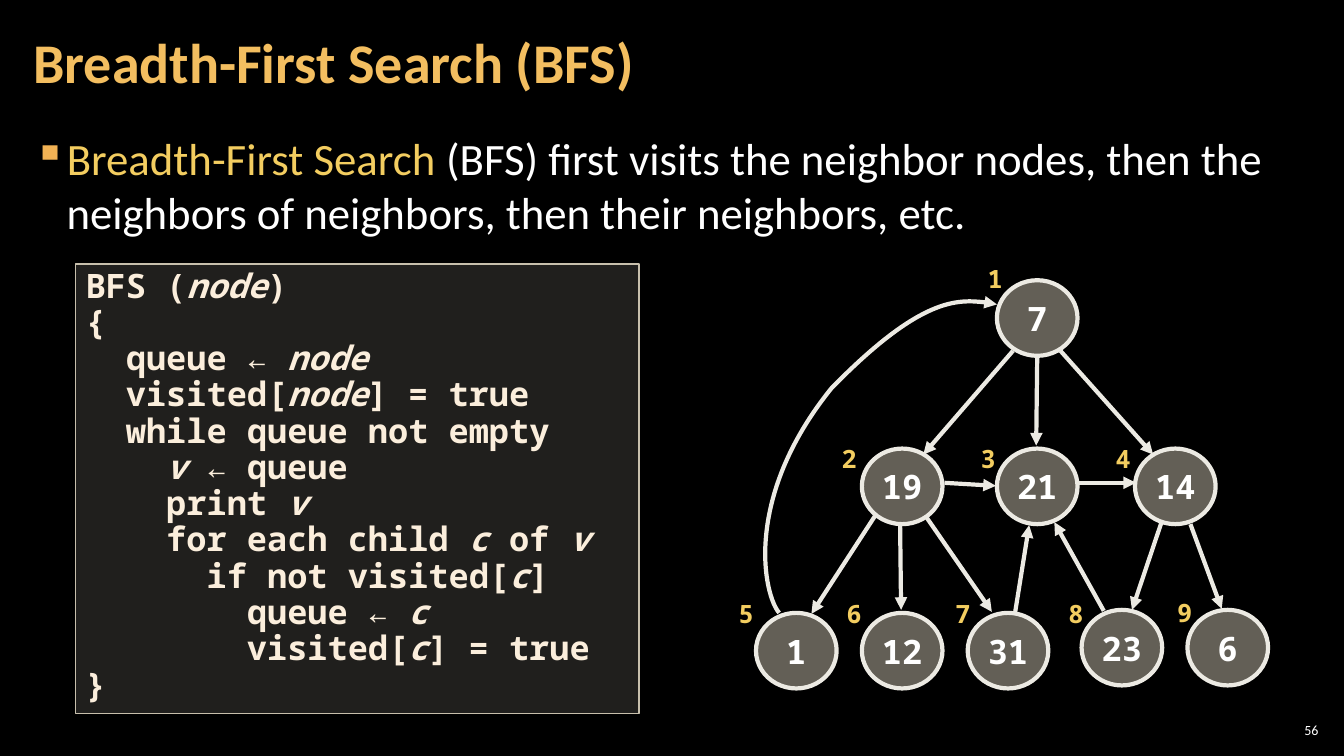
from typing import NamedTuple

import pptx
import pptx.dml.color
import pptx.enum.shapes
import pptx.enum.text
import pptx.oxml
import pptx.oxml.ns
import pptx.util
from lxml import etree

COLORS = {
    "background": "000000",
    "title": "F3BE60",
    "accent": "F3CD60",
    "bullet": "F2B254",
    "text": "FFFFFF",
    "code": "FBEEDC",
    "code fill": "D9D5C7",
    "node fill": "C7BFAC",
    "code border": "C7BFAC",
    "edge": "ECEAE3",
}
SANS, MONO = "Calibri", "Noto Sans Mono"
SLIDE_WIDTH, SLIDE_HEIGHT = pptx.util.Inches(13.33), pptx.util.Inches(7.5)
COLUMN, ROW = SLIDE_WIDTH / 40, SLIDE_HEIGHT / 30
NODE_SIZE = (2.4, 3)
ORDER_SIZE = (1.02, 1.68)
ALIGN = pptx.enum.text.PP_ALIGN
ANCHOR = pptx.enum.text.MSO_ANCHOR
FIT = pptx.enum.text.MSO_AUTO_SIZE
SHAPES = pptx.enum.shapes.MSO_SHAPE


class Box(NamedTuple):
    column: float
    row: float
    columns: float
    rows: float


class Node(NamedTuple):
    value: int
    column: float
    row: float
    order: int
    order_column: float
    order_row: float


class Edge(NamedTuple):
    start: tuple[float, float]
    end: tuple[float, float]


NODES = [
    Node(7, 29.67, 11.12, 1, 29.1, 10.24),
    Node(19, 25.65, 17.8, 2, 24.75, 17.4),
    Node(21, 29.67, 17.8, 3, 28.89, 17.4),
    Node(14, 33.78, 17.8, 4, 32.91, 17.4),
    Node(1, 22.5, 24.32, 5, 21.69, 23.56),
    Node(12, 25.65, 24.32, 6, 24.9, 23.56),
    Node(31, 28.8, 24.32, 7, 28.14, 23.56),
    Node(23, 32.19, 24.2, 8, 31.5, 23.56),
    Node(6, 35.34, 24.2, 9, 34.74, 23.52),
]
EDGES = [
    Edge((30.15, 13.92), (27.48, 18.04)),
    Edge((30.87, 14.12), (30.84, 17.68)),
    Edge((31.56, 13.92), (34.32, 18.04)),
    Edge((28.11, 19.16), (29.64, 19.28)),
    Edge((32.1, 19.16), (33.81, 19.16)),
    Edge((26.04, 20.48), (24.15, 24.36)),
    Edge((26.79, 20.88), (26.82, 24.2)),
    Edge((27.57, 20.52), (29.52, 24.28)),
    Edge((34.56, 20.76), (33.69, 24.2)),
    Edge((35.43, 20.8), (36.36, 24.16)),
    Edge((30.21, 24.32), (30.63, 20.84)),
    Edge((32.85, 24.24), (31.38, 20.72)),
]
BACK_EDGE = [
    (23.19, 24.32),
    (22.74, 23.64), (22.08, 19.8), (24.75, 15.4),
    (27.42, 11.76), (28.92, 11.84), (29.67, 12.08),
]
# Asterisks enclose the italic variables.
PSEUDOCODE = """\
BFS (*node*)
{
  queue ← *node*
  visited[*node*] = true
  while queue not empty
    *v *← queue
    print *v*
    for each child *c* of *v*
      if not visited[*c*]
        queue ← *c*
        visited[*c*] = true
}"""


def rgb(name: str) -> pptx.dml.color.RGBColor:
    return pptx.dml.color.RGBColor.from_string(COLORS[name])


def point(column: float, row: float) -> tuple[int, int]:
    return round(column * COLUMN), round(row * ROW)


def place(box: Box) -> tuple[int, int, int, int]:
    return point(box.column, box.row) + point(box.columns, box.rows)


def add_child(parent, tag: str, **attributes: str):
    return etree.SubElement(parent, pptx.oxml.ns.qn(tag), attributes)


def style(paragraph, size: float, face: str, color: str, bold: bool = False) -> None:
    font = paragraph.font
    font.size, font.name, font.bold = pptx.util.Pt(size), face, bold
    font.color.rgb = rgb(color)


def set_insets(frame, across: float, down: float) -> None:
    frame.margin_left = frame.margin_right = pptx.util.Inches(across)
    frame.margin_top = frame.margin_bottom = pptx.util.Inches(down)


def add_panel(slide, kind, box: Box, fill: str, opacity: int, border: str, width: float):
    """Add a shape with a see-through fill and a solid border."""
    panel = slide.shapes.add_shape(kind, *place(box))
    panel.shadow.inherit = False
    panel.fill.solid()
    panel.fill.fore_color.rgb = rgb(fill)
    tint = panel.fill._xPr.find(".//" + pptx.oxml.ns.qn("a:srgbClr"))
    add_child(tint, "a:alpha", val=str(opacity * 1000))
    panel.line.color.rgb = rgb(border)
    panel.line.width = pptx.util.Pt(width)
    return panel


def add_title(slide) -> None:
    title = slide.shapes.title
    title.left, title.top, title.width, title.height = place(Box(0.63, 0.16, 31.41, 4.84))
    frame = title.text_frame
    frame.text = "Breadth-First Search (BFS)"
    frame.auto_size, frame.vertical_anchor = FIT.NONE, ANCHOR.MIDDLE
    set_insets(frame, 0.12, 0.04)
    heading = frame.paragraphs[0]
    heading.alignment, heading.line_spacing = ALIGN.LEFT, 0.9
    style(heading, 40, SANS, "title", bold=True)


def add_definition(slide) -> None:
    frame = slide.shapes.add_textbox(*place(Box(0.63, 5.04, 38.73, 24.36))).text_frame
    frame.word_wrap = True
    set_insets(frame, 0.12, 0.04)
    definition = frame.paragraphs[0]
    properties = definition._p.get_or_add_pPr()
    indent = pptx.util.Inches(0.33)
    properties.set("marL", str(indent))
    properties.set("indent", str(-indent))
    add_child(add_child(properties, "a:buClr"), "a:srgbClr", val=COLORS["bullet"])
    add_child(properties, "a:buChar", char="▪")
    style(definition, 32, SANS, "text")
    term = definition.add_run()
    term.text = "Breadth-First Search "
    term.font.color.rgb = rgb("accent")
    definition.add_run().text = (
        "(BFS) first visits the neighbor nodes, then the neighbors of neighbors, "
        "then their neighbors, etc."
    )


def add_pseudocode(slide) -> None:
    listing = add_panel(slide, SHAPES.RECTANGLE, Box(2.25, 10.48, 16.77, 17.84),
                        "code fill", 15, "code border", 1)
    frame = listing.text_frame
    frame.word_wrap, frame.vertical_anchor = True, ANCHOR.TOP
    frame.auto_size = FIT.SHAPE_TO_FIT_TEXT
    for number, line in enumerate(PSEUDOCODE.splitlines()):
        paragraph = frame.add_paragraph() if number else frame.paragraphs[0]
        paragraph.alignment, paragraph.line_spacing = ALIGN.LEFT, 0.9
        style(paragraph, 24, MONO, "code", bold=True)
        for index, part in enumerate(line.split("*")):
            if part:
                run = paragraph.add_run()
                run.text = part
                run.font.italic = index % 2 == 1


def add_label(slide, box: Box, text: str, size: float, face: str, color: str, bold: bool):
    frame = slide.shapes.add_textbox(*place(box)).text_frame
    frame.text = text
    style(frame.paragraphs[0], size, face, color, bold)
    return frame


def add_node(slide, node: Node) -> None:
    circle = add_panel(slide, SHAPES.OVAL, Box(node.column, node.row, *NODE_SIZE),
                       "node fill", 50, "edge", 3)
    frame = circle.text_frame
    frame.text = str(node.value)
    frame.word_wrap, frame.vertical_anchor = False, ANCHOR.MIDDLE
    frame.paragraphs[0].alignment = ALIGN.CENTER
    style(frame.paragraphs[0], 24, MONO, "text", bold=True)
    order = add_label(slide, Box(node.order_column, node.order_row, *ORDER_SIZE),
                      str(node.order), 18, MONO, "accent", True)
    order.word_wrap, order.auto_size = False, FIT.SHAPE_TO_FIT_TEXT


def make_arrow(edge) -> None:
    edge.line.color.rgb = rgb("edge")
    edge.line.width = pptx.util.Pt(3)
    add_child(edge.line._get_or_add_ln(), "a:tailEnd", type="triangle")


def add_edge(slide, edge: Edge) -> None:
    straight = pptx.enum.shapes.MSO_CONNECTOR.STRAIGHT
    arrow = slide.shapes.add_connector(straight, *point(*edge.start), *point(*edge.end))
    make_arrow(arrow)
    add_child(arrow._element.spPr, "a:effectLst")


def add_back_edge(slide) -> None:
    """Draw the curved arrow, turning each three segments into one Bézier."""
    start, *controls = [point(*spot) for spot in BACK_EDGE]
    builder = slide.shapes.build_freeform(*start)
    builder.add_line_segments(controls, close=False)
    curve = builder.convert_to_shape()
    outline = curve._element.spPr.find(".//" + pptx.oxml.ns.qn("a:path"))
    segments = outline.findall(pptx.oxml.ns.qn("a:lnTo"))
    for first in range(0, len(segments), 3):
        bezier = add_child(outline, "a:cubicBezTo")
        for segment in segments[first:first + 3]:
            bezier.append(segment[0])
            outline.remove(segment)
    curve.fill.background()
    make_arrow(curve)
    curve.shadow.inherit = False


def main() -> None:
    deck = pptx.Presentation()
    deck.slide_width, deck.slide_height = SLIDE_WIDTH, SLIDE_HEIGHT
    slide = deck.slides.add_slide(deck.slide_layouts[5])
    slide.background.fill.solid()
    slide.background.fill.fore_color.rgb = rgb("background")
    page = add_label(slide, Box(37.95, 28.56, 1.41, 0.84), "56", 10, SANS, "text", False)
    page.vertical_anchor = ANCHOR.MIDDLE
    page.paragraphs[0].alignment = ALIGN.RIGHT
    page.word_wrap = True
    set_insets(page, 0.04, 0.04)
    add_title(slide)
    add_definition(slide)
    add_pseudocode(slide)
    for node in NODES:
        add_node(slide, node)
    for edge in EDGES:
        add_edge(slide, edge)
    add_back_edge(slide)
    deck.save("out.pptx")


if __name__ == "__main__":
    main()
